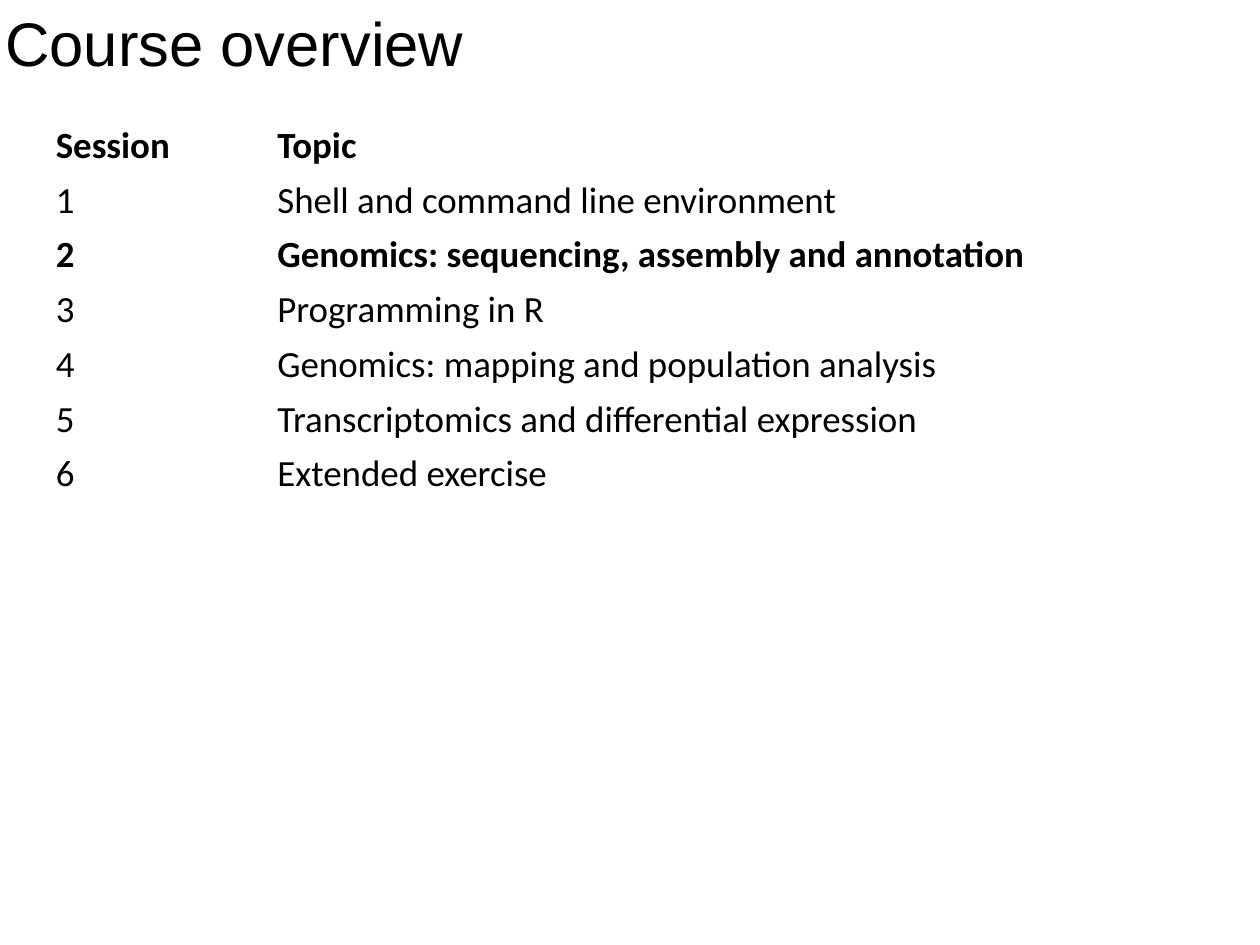
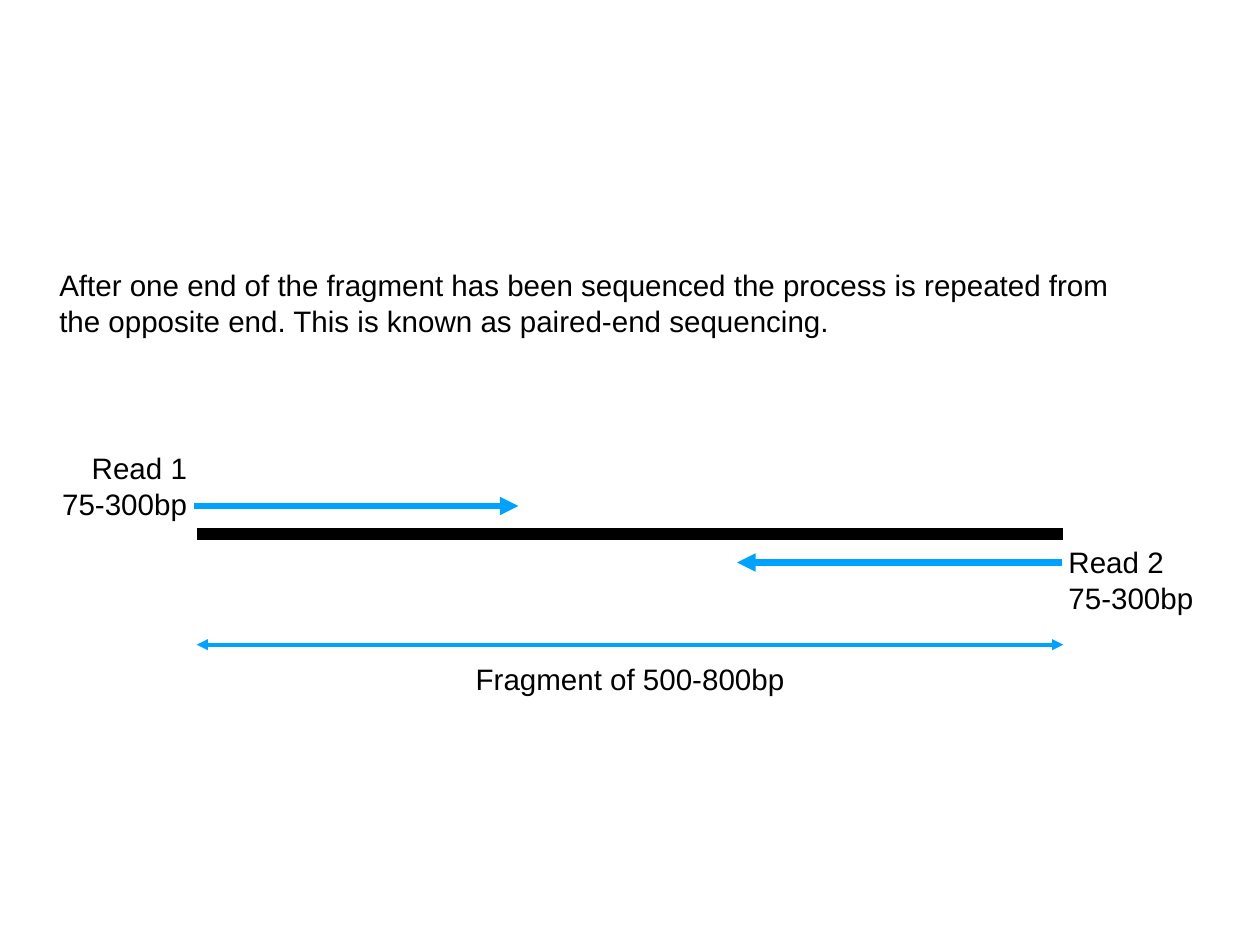
"""Course overview and paired-end sequencing slides."""
from lxml.etree import SubElement
from pptx import Presentation
from pptx.dml.color import RGBColor
from pptx.enum.shapes import MSO_CONNECTOR as Connector
from pptx.enum.text import MSO_ANCHOR as Anchor, PP_ALIGN as Align
from pptx.oxml.ns import qn
from pptx.util import Cm, Pt

BLACK, BLUE = "000000", "00A2FF"
INSET = Cm(0.15)
MARGINS = {f"margin_{side}": INSET for side in ("left", "top", "right", "bottom")}
TITLE = {"name": "Arial", "size": Pt(50)}
BODY = {"name": "Arial", "size": Pt(24)}
TABLE = {"name": "Calibri", "size": Pt(30)}

SESSIONS = [
    ("Session", "Topic"),
    ("1", "Shell and command line environment"),
    ("2", "Genomics: sequencing, assembly and annotation"),
    ("3", "Programming in R"),
    ("4", "Genomics: mapping and population analysis"),
    ("5", "Transcriptomics and differential expression"),
    ("6", "Extended exercise"),
]
BOLD_ROWS = {0, 2}
COLUMN_WIDTHS = (6.35, 23.25)
ROW_HEIGHT = 1.57

FRAGMENT_LEFT, FRAGMENT_RIGHT, FRAGMENT_Y = 5.64, 30.48, 15.32
READ_LENGTH, READ_GAP = 9.3, 0.81
READ_1_LEFT, READ_2_RIGHT = 5.56, 30.43
SPAN_Y = 18.49


def color(hex_code):
    """Return the colour for a hex string."""
    return RGBColor.from_string(hex_code)


def apply_format(target, values):
    """Set every attribute named in a dict of format values."""
    for name, value in values.items():
        setattr(target, name, value)


def style_text(paragraph, font, align=Align.LEFT):
    """Give a paragraph its font, colour and alignment."""
    paragraph.alignment = align
    apply_format(paragraph.font, font)
    paragraph.font.color.rgb = color(BLACK)


def add_text(slide, place, lines, font=BODY, align=Align.LEFT, wrap=True, anchor=Anchor.MIDDLE):
    """Add a text box with one paragraph per line."""
    frame = slide.shapes.add_textbox(*map(Cm, place)).text_frame
    apply_format(frame, {**MARGINS, "word_wrap": wrap, "vertical_anchor": anchor})
    frame.text = "\n".join(lines)
    for paragraph in frame.paragraphs:
        style_text(paragraph, font, align)


def add_line(slide, start, end, y, line_color, width, arrows=()):
    """Add a horizontal line with triangles at the named ends."""
    connector = slide.shapes.add_connector(Connector.STRAIGHT, Cm(start), Cm(y), Cm(end), Cm(y))
    connector.line.color.rgb = color(line_color)
    connector.line.width = Pt(width)
    properties = connector._element.spPr
    outline = properties.find(qn("a:ln"))
    for arrow in arrows:
        SubElement(outline, qn(f"a:{arrow}"), type="triangle")
    SubElement(properties, qn("a:effectLst"))


def add_sessions(slide, left, top):
    """Add the plain table of sessions and topics."""
    size = (sum(COLUMN_WIDTHS), ROW_HEIGHT * len(SESSIONS))
    table = slide.shapes.add_table(
        len(SESSIONS), len(COLUMN_WIDTHS), *map(Cm, (left, top, *size))).table
    apply_format(table, {"first_row": False, "horz_banding": False})
    for column, width in zip(table.columns, COLUMN_WIDTHS):
        column.width = Cm(width)
    for row, texts in enumerate(SESSIONS):
        for column, text in enumerate(texts):
            cell = table.cell(row, column)
            cell.fill.background()
            apply_format(cell, {**MARGINS, "vertical_anchor": Anchor.MIDDLE, "text": text})
            style_text(cell.text_frame.paragraphs[0], {**TABLE, "bold": row in BOLD_ROWS})


def build_overview(slide):
    """Build the course overview."""
    add_text(slide, (0, 0, 17.88, 2.41), ["Course overview"], TITLE, anchor=Anchor.TOP)
    add_sessions(slide, 1.45, 3.38)


def build_paired_end(slide):
    """Build the diagram of paired-end sequencing."""
    add_text(slide, (1.55, 7.52, 31.34, 2.31), [
        "After one end of the fragment has been sequenced the process is repeated from "
        "the opposite end. This is known as paired-end sequencing."])
    add_line(slide, FRAGMENT_LEFT, FRAGMENT_RIGHT, FRAGMENT_Y, BLACK, 10)
    add_line(slide, READ_1_LEFT, READ_1_LEFT + READ_LENGTH, FRAGMENT_Y - READ_GAP,
             BLUE, 5, ["tailEnd"])
    add_line(slide, READ_2_RIGHT, READ_2_RIGHT - READ_LENGTH, FRAGMENT_Y + READ_GAP,
             BLUE, 5, ["tailEnd"])
    add_line(slide, FRAGMENT_LEFT, FRAGMENT_RIGHT, SPAN_Y, BLUE, 3, ["headEnd", "tailEnd"])
    add_text(slide, (1.47, 12.78, 4.04, 2.31), ["Read 1", "75-300bp"],
             align=Align.RIGHT, wrap=False)
    add_text(slide, (FRAGMENT_RIGHT, 15.47, 4.04, 2.31), ["Read 2", "75-300bp"], wrap=False)
    add_text(slide, (13.31, 18.82, 9.5, 1.27), ["Fragment of 500-800bp"],
             align=Align.CENTER, wrap=False)


def main():
    """Build and save the slides."""
    deck = Presentation()
    apply_format(deck, {"slide_width": Cm(36.12), "slide_height": Cm(27.1)})
    for build in (build_overview, build_paired_end):
        build(deck.slides.add_slide(deck.slide_layouts[6]))
    deck.save("out.pptx")


if __name__ == "__main__":
    main()
